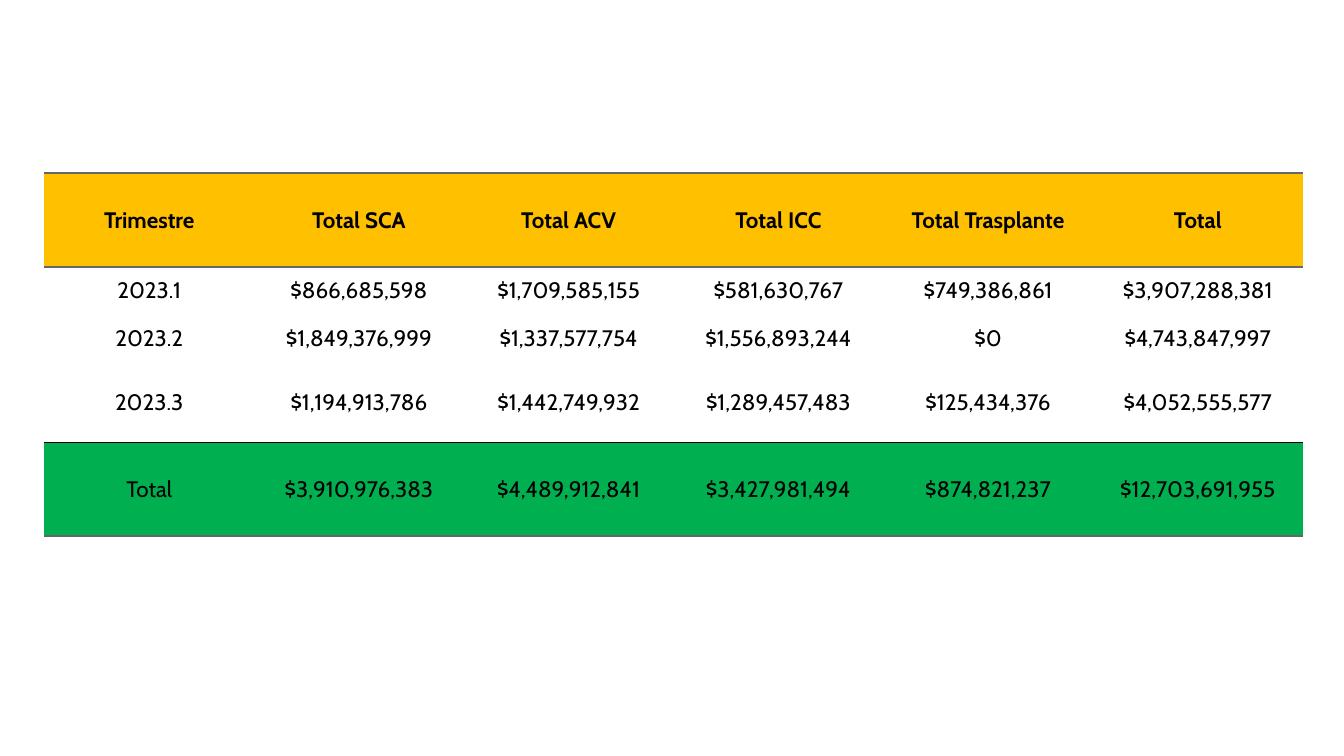
from lxml import etree
from pptx import Presentation
from pptx import util as u
from pptx.dml.color import RGBColor
from pptx.enum import text
from pptx.oxml.ns import qn

HEADERS = ["Trimestre", "Total SCA", "Total ACV", "Total ICC", "Total Trasplante", "Total"]
QUARTERS = [
    ["2023.1", "$866,685,598", "$1,709,585,155", "$581,630,767", "$749,386,861", "$3,907,288,381"],
    ["2023.2", "$1,849,376,999", "$1,337,577,754", "$1,556,893,244", "$0", "$4,743,847,997"],
    ["2023.3", "$1,194,913,786", "$1,442,749,932", "$1,289,457,483", "$125,434,376", "$4,052,555,577"],
]
TOTALS = ["Total", "$3,910,976,383", "$4,489,912,841", "$3,427,981,494", "$874,821,237", "$12,703,691,955"]

AMBER = RGBColor(0xFF, 0xC0, 0x00)
GREEN = RGBColor(0x00, 0xB0, 0x50)
WHITE = RGBColor(0xFF, 0xFF, 0xFF)
BLACK = RGBColor(0x00, 0x00, 0x00)
GRAY = RGBColor(0x66, 0x66, 0x66)

GRAY_RULE = (GRAY, 1.5)
BLACK_RULE = (BLACK, 1)
ROWS = [
    (HEADERS, 0.93, AMBER, GRAY_RULE, GRAY_RULE),
    (QUARTERS[0], 0.47, WHITE, GRAY_RULE, None),
    (QUARTERS[1], 0.47, WHITE, None, None),
    (QUARTERS[2], 0.8, WHITE, None, BLACK_RULE),
    (TOTALS, 0.93, GREEN, BLACK_RULE, GRAY_RULE),
]
LEFT, TOP, COLUMN_WIDTH = 0.44, 1.72, 2.08
SIDE_INDENT = str(u.Inches(0.07))

CELL_FORMAT = {
    "margin_left": 0, "margin_right": 0, "margin_top": 0, "margin_bottom": 0,
    "vertical_anchor": text.MSO_ANCHOR.MIDDLE,
}
PARAGRAPH_FORMAT = {
    "alignment": text.PP_ALIGN.CENTER, "space_before": u.Pt(5), "space_after": u.Pt(5),
}
FONT_FORMAT = {"name": "Cabin", "size": u.Pt(16)}
TABLE_FORMAT = {"first_row": False, "horz_banding": False}


def apply_format(target, values):
    for name, value in values.items():
        setattr(target, name, value)


def add_border(cell, side, rule):
    line = etree.SubElement(cell._tc.get_or_add_tcPr(), qn(f"a:ln{side}"))
    if rule is None:
        etree.SubElement(line, qn("a:noFill"))
        return
    color, points = rule
    line.set("w", str(u.Pt(points)))
    fill = etree.SubElement(line, qn("a:solidFill"))
    etree.SubElement(fill, qn("a:srgbClr"), val=str(color))


def fill_cell(cell, label, color, borders, bold):
    apply_format(cell, CELL_FORMAT)
    for side, rule in borders.items():
        add_border(cell, side, rule)
    cell.fill.solid()
    cell.fill.fore_color.rgb = color
    cell.text = label
    paragraph = cell.text_frame.paragraphs[0]
    apply_format(paragraph, PARAGRAPH_FORMAT)
    properties = paragraph._p.get_or_add_pPr()
    for name, value in {"marL": SIDE_INDENT, "marR": SIDE_INDENT, "indent": "0"}.items():
        properties.set(name, value)
    font = paragraph.runs[0].font
    apply_format(font, {**FONT_FORMAT, "bold": bold})
    font.color.rgb = BLACK


def main():
    presentation = Presentation()
    presentation.slide_width, presentation.slide_height = u.Inches(13.33), u.Inches(7.5)
    slide = presentation.slides.add_slide(presentation.slide_layouts[6])
    width = COLUMN_WIDTH * len(HEADERS)
    height = sum(row[1] for row in ROWS)
    table = slide.shapes.add_table(
        len(ROWS), len(HEADERS), *map(u.Inches, (LEFT, TOP, width, height))
    ).table
    apply_format(table, TABLE_FORMAT)
    for column in table.columns:
        column.width = u.Inches(COLUMN_WIDTH)
    for row, (labels, row_height, color, top, bottom) in zip(table.rows, ROWS):
        row.height = u.Inches(row_height)
        borders = {"L": None, "R": None, "T": top, "B": bottom}
        for cell, label in zip(row.cells, labels):
            fill_cell(cell, label, color, borders, bold=labels is HEADERS)
    presentation.save("out.pptx")


if __name__ == "__main__":
    main()
